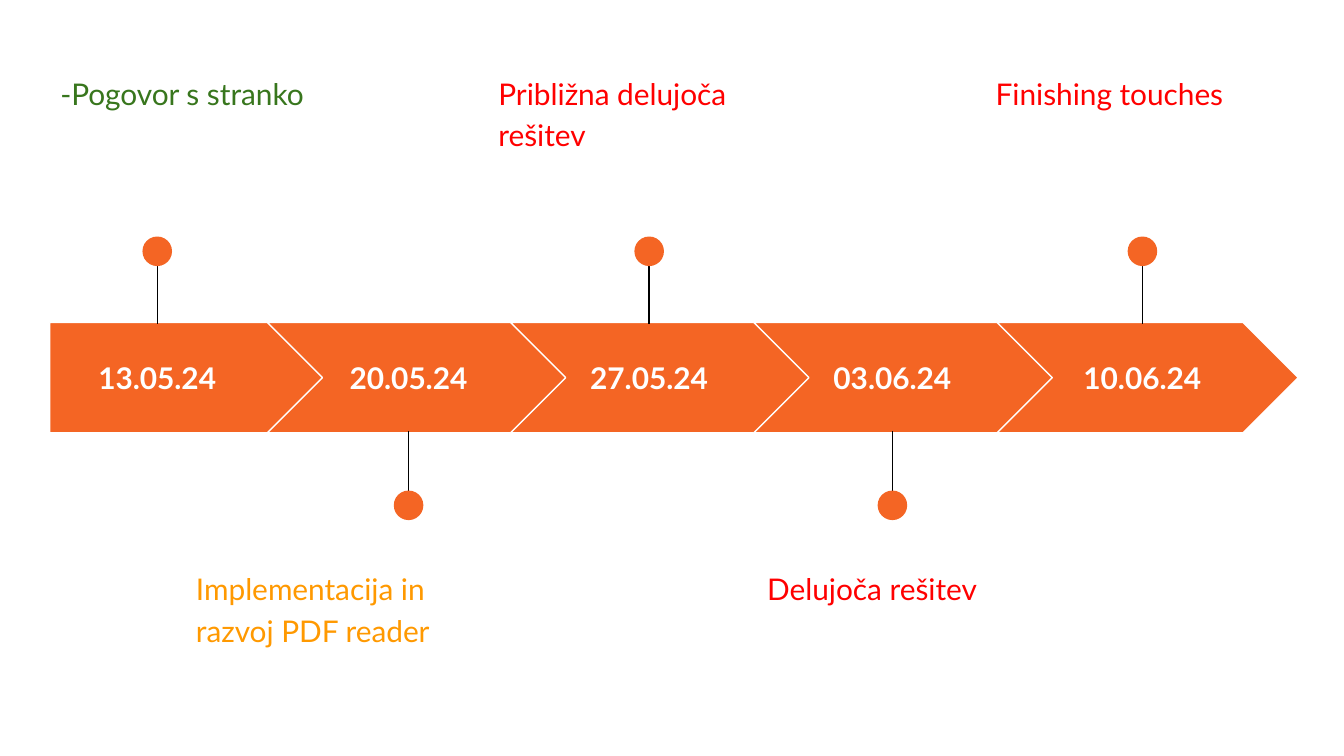
from lxml.etree import SubElement
from pptx import Presentation
from pptx.dml.color import RGBColor
from pptx.enum.shapes import MSO_CONNECTOR, MSO_SHAPE
from pptx.enum.text import MSO_ANCHOR, PP_ALIGN
from pptx.oxml.ns import qn
from pptx.util import Inches, Pt

ORANGE, WHITE, BLACK = "F46524", "FFFFFF", "000000"
GREEN, AMBER, RED = "38761D", "FF9900", "FF0000"

MILESTONES = [
    {"date": "13.05.24", "task": "-Pogovor s stranko", "color": GREEN, "center": 1.17, "task_left": 0.35},
    {"date": "20.05.24", "task": "Implementacija in razvoj PDF reader", "color": AMBER, "center": 3.04, "task_left": 1.36},
    {"date": "27.05.24", "task": "Približna delujoča rešitev", "color": RED, "center": 4.83, "task_left": 3.61},
    {"date": "03.06.24", "task": "Delujoča rešitev", "color": RED, "center": 6.64, "task_left": 5.61},
    {"date": "10.06.24", "task": "Finishing touches", "color": RED, "center": 8.5, "task_left": 7.31},
]

SLIDE_WIDTH = 10
SLIDE_HEIGHT = SLIDE_WIDTH * 9 / 16
BAND_TOP, BAND_HEIGHT = 2.4, 0.82
START_LEFT, START_WIDTH = 0.37, 2.05
CHEVRON_LEFT, CHEVRON_WIDTH, CHEVRON_STEP = 1.99, 2.24, 1.81
DATE_WIDTH, DATE_HEIGHT = 1.44, 0.51
TASK_WIDTH, TASK_HEIGHT = 2.45, 0.99
DOT = 0.22
ABOVE = {"task_top": 0.42, "dot_top": 1.76, "stem": (1.8, 2.41)}
BELOW = {"task_top": 4.11, "dot_top": 3.65, "stem": (3.82, 3.21)}

DATE_FORMAT = {"alignment": PP_ALIGN.CENTER}
TASK_FORMAT = {"alignment": PP_ALIGN.LEFT, "line_spacing": 1.15, "space_after": Pt(16)}


def rgb(value):
    return RGBColor.from_string(value)


def apply(target, values):
    for name, value in values.items():
        setattr(target, name, value)


def add_solid(slide, kind, left, top, width, height, outline=None):
    solid = slide.shapes.add_shape(kind, Inches(left), Inches(top), Inches(width), Inches(height))
    solid.shadow.inherit = False
    solid.fill.solid()
    solid.fill.fore_color.rgb = rgb(ORANGE)
    if outline:
        solid.line.color.rgb = rgb(outline)
        solid.line.width = Pt(0.75)
    else:
        solid.line.fill.background()


def add_label(slide, text, left, top, width, height, color, anchor, layout, bold=False):
    label = slide.shapes.add_textbox(Inches(left), Inches(top), Inches(width), Inches(height))
    frame = label.text_frame
    apply(frame, {"word_wrap": True, "vertical_anchor": anchor})
    apply(frame, {f"margin_{side}": Inches(0.1) for side in ("left", "top", "right", "bottom")})
    paragraph = frame.paragraphs[0]
    apply(paragraph, layout)
    run = paragraph.add_run()
    run.text = text
    apply(run.font, {"name": "Lato", "size": Pt(16), "bold": bold})
    run.font.color.rgb = rgb(color)


def add_stem(slide, center, start, end):
    stem = slide.shapes.add_connector(
        MSO_CONNECTOR.STRAIGHT, Inches(center), Inches(start), Inches(center), Inches(end))
    stem.line.color.rgb = rgb(BLACK)
    stem.line.width = Pt(0.75)
    SubElement(stem._element.spPr, qn("a:effectLst"))


def add_milestone(slide, index, milestone):
    center = milestone["center"]
    side = BELOW if index % 2 else ABOVE
    if index == 0:
        kind, left, width = MSO_SHAPE.PENTAGON, START_LEFT, START_WIDTH
    else:
        kind, width = MSO_SHAPE.CHEVRON, CHEVRON_WIDTH
        left = CHEVRON_LEFT + (index - 1) * CHEVRON_STEP
    add_solid(slide, kind, left, BAND_TOP, width, BAND_HEIGHT, WHITE)
    add_label(slide, milestone["date"], center - DATE_WIDTH / 2,
              BAND_TOP + (BAND_HEIGHT - DATE_HEIGHT) / 2, DATE_WIDTH, DATE_HEIGHT,
              WHITE, MSO_ANCHOR.MIDDLE, DATE_FORMAT, bold=True)
    add_stem(slide, center, *side["stem"])
    add_solid(slide, MSO_SHAPE.OVAL, center - DOT / 2, side["dot_top"], DOT, DOT)
    add_label(slide, milestone["task"], milestone["task_left"], side["task_top"],
              TASK_WIDTH, TASK_HEIGHT, milestone["color"], MSO_ANCHOR.TOP, TASK_FORMAT)


def main():
    deck = Presentation()
    apply(deck, {"slide_width": Inches(SLIDE_WIDTH), "slide_height": Inches(SLIDE_HEIGHT)})
    slide = deck.slides.add_slide(deck.slide_layouts[6])
    for index, milestone in enumerate(MILESTONES):
        add_milestone(slide, index, milestone)
    deck.save("out.pptx")


if __name__ == "__main__":
    main()
